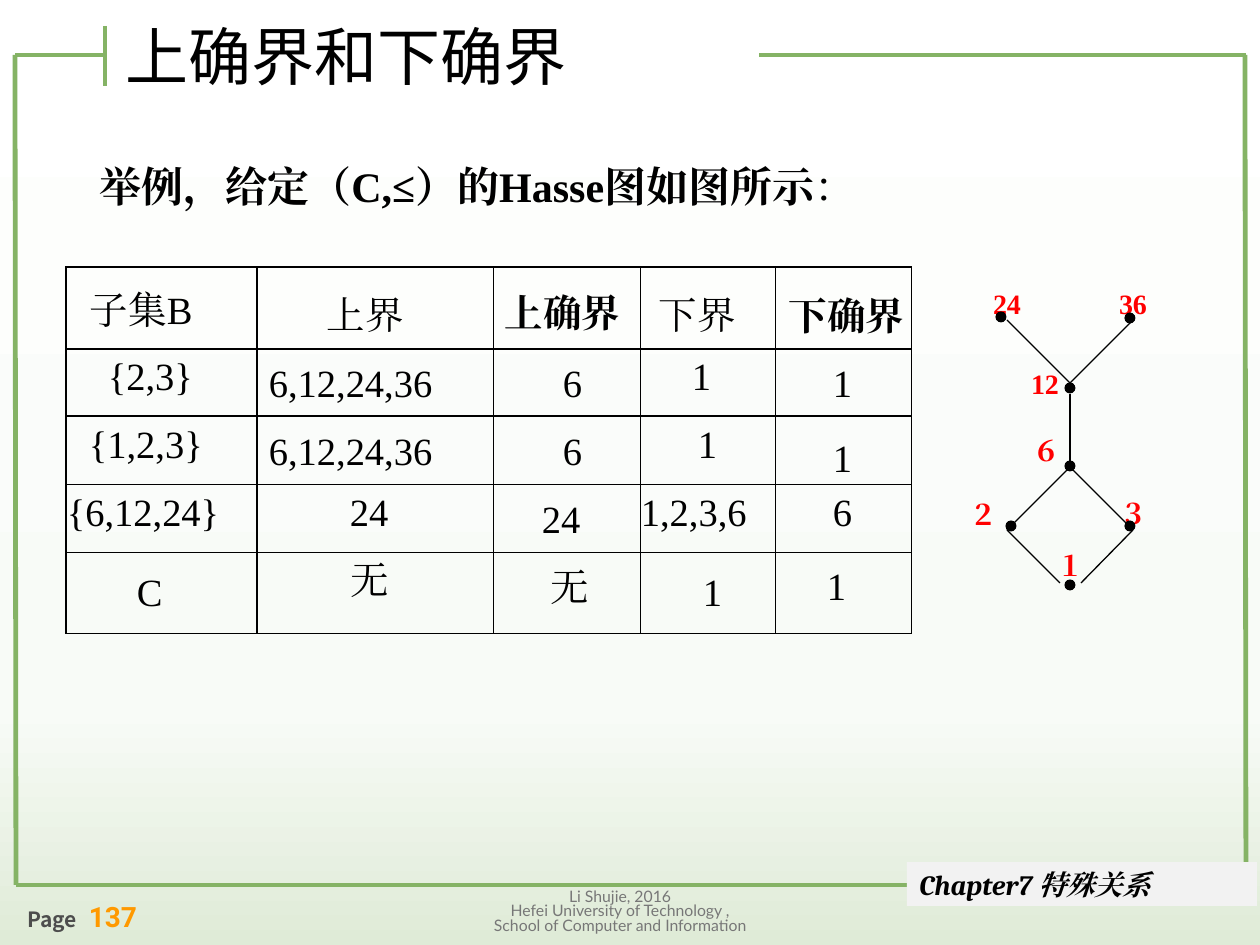
from copy import deepcopy

from lxml import etree
from pptx import Presentation
from pptx.dml.color import RGBColor
from pptx.enum.shapes import MSO_CONNECTOR, MSO_SHAPE
from pptx.enum.text import MSO_ANCHOR, PP_ALIGN
from pptx.oxml.ns import qn
from pptx.util import Emu, Pt

LINE = MSO_CONNECTOR.STRAIGHT
RECT, OVAL = MSO_SHAPE.RECTANGLE, MSO_SHAPE.OVAL
LEFT, MID = PP_ALIGN.LEFT, PP_ALIGN.CENTER
TOP, CENTER = MSO_ANCHOR.TOP, MSO_ANCHOR.MIDDLE
SCALE = 914400 / 126
GREEN, BLACK, RED = "85B365", "000000", "FF0000"
TIMES, NOTO = "Times New Roman", "Noto Sans CJK SC"

# Each cell: text, left inset, top inset
ROWS = [
    [("子集B", 24, 23), ("上界", 70, 28), ("上确界", 11, 26), ("下界", 18, 28), ("下确界", 13, 29)],
    [("{2,3}", 42, 7), ("6,12,24,36", 12, 14), ("6", 69, 14), ("1", 51, 7), ("1", 57, 14)],
    [("{1,2,3}", 23, 8), ("6,12,24,36", 12, 15), ("6", 69, 15), ("1", 57, 8), ("1", 57, 22)],
    [("{6,12,24}", 1, 8), ("24", 93, 8), ("24", 48, 15), ("1,2,3,6", 0, 8), ("6", 57, 8)],
    [("C", 71, 20), ("无", 94, 8), ("无", 57, 15), ("1", 62, 20), ("1", 51, 14)],
]
WIDTHS = [191, 237, 147, 135, 136]
HEIGHTS = [82, 67, 68, 68, 81]

# Each node: label, dot centre, label centre
NODES = [
    ("24", 57, 39, 63, 25), ("36", 186, 40, 189, 25), ("12", 126, 110, 101, 105),
    ("６", 126, 188, 102, 172), ("２", 67, 248, 39, 236), ("３", 186, 248, 189, 235),
    ("１", 126, 307, 126, 287),
]
EDGES = [
    (63, 42, 126, 105), (189, 42, 126, 105), (126, 116, 126, 189),
    (126, 189, 63, 252), (126, 189, 189, 252), (116, 305, 63, 252),
    (137, 305, 189, 252),
]
FRAME = [
    (15, 55, 16, 885), (1245, 55, 1246, 885), (1246, 885, 16, 885),
    (1246, 55, 759, 55), (105, 55, 15, 55), (105, 26, 105, 86),
]


def px(*nums):
    out = [Emu(round(n * SCALE)) for n in nums]
    return out if len(out) > 1 else out[0]


def color(code):
    return RGBColor.from_string(code)


def style(par, size, name, code=BLACK, bold=False, align=LEFT):
    par.alignment = align
    font = par.font
    font.size, font.name, font.bold = Pt(size), name, bold
    font.color.rgb = color(code)
    # East Asian letters share the font and its line height
    base = par._p.pPr.find(qn("a:defRPr"))
    etree.SubElement(base, qn("a:ea")).set("typeface", name)


def add_text(slide, box, text, size, name, code=BLACK, bold=False,
             align=LEFT, anchor=TOP):
    frame = slide.shapes.add_textbox(*px(*box)).text_frame
    frame.word_wrap = True
    frame.vertical_anchor = anchor
    frame.text = text
    for par in frame.paragraphs:
        style(par, size, name, code, bold, align)
    return frame


def add_line(slide, ends, code, width):
    line = slide.shapes.add_connector(LINE, *px(*ends))
    line.line.color.rgb = color(code)
    line.line.width = Pt(width)
    etree.SubElement(line._element.spPr, qn("a:effectLst"))


def add_shape(slide, kind, box, code):
    shape = slide.shapes.add_shape(kind, *px(*box))
    shape.shadow.inherit = False
    shape.fill.solid()
    shape.fill.fore_color.rgb = color(code)
    shape.line.fill.background()
    return shape


def draw_back(slide):
    fill = slide.background.fill
    fill.gradient()
    fill.gradient_angle = 270
    stops = slide._element.find(".//" + qn("a:gsLst"))
    stops.append(deepcopy(stops[-1]))
    shades = [(0, "FFFFFF"), (0.75, "F8FBF7"), (1, "DFEBD7")]
    for stop, (place, code) in zip(fill.gradient_stops, shades):
        stop.position = place
        stop.color.rgb = color(code)
    for ends in FRAME:
        add_line(slide, ends, GREEN, 2.75)


def draw_foot(slide, x, y):
    # Author and school
    lines = ["Li Shujie, 2016", "Hefei University of Technology ,",
             "School of Computer and Information"]
    frame = add_text(slide, (x + 426, y + 23, 358, 55), "\n".join(lines),
                     9, "Lato", "777777", align=MID)
    for par in frame.paragraphs:
        par.line_spacing = 0.75
    # Chapter tag
    tag = add_shape(slide, RECT, (x + 892, y, 350, 44), "F2F2F2").text_frame
    tag.vertical_anchor = CENTER
    tag.text = "Chapter7 特殊关系"
    style(tag.paragraphs[0], 16, "Cambria", bold=True)
    tag.paragraphs[0].font.italic = True
    # Page number
    page = add_text(slide, (x, y + 31, 179, 47), "Page ", 12, NOTO, "4D4D4D", True)
    run = page.paragraphs[0].add_run()
    run.text = " 137"
    run.font.size, run.font.name = Pt(16), "Roboto"
    run.font.color.rgb = color("FF9900")


def draw_title(slide, box):
    title = slide.shapes.title
    title.left, title.top, title.width, title.height = px(*box)
    title.text_frame.text = "上确界和下确界"
    title.text_frame.vertical_anchor = CENTER
    style(title.text_frame.paragraphs[0], 36, NOTO)


def draw_lead(slide, box):
    frame = add_text(slide, box, "举例，给定（C,≤）的Hasse图如图所示", 24, TIMES, bold=True)
    run = frame.paragraphs[0].add_run()
    run.text = "："
    run.font.bold = False


def add_edges(cell):
    props = cell._tc.get_or_add_tcPr()
    for side in ("lnL", "lnR", "lnT", "lnB"):
        line = etree.SubElement(props, qn("a:" + side), w=str(Pt(0.75)))
        fill = etree.SubElement(line, qn("a:solidFill"))
        etree.SubElement(fill, qn("a:srgbClr"), val=BLACK)


def draw_table(slide, x, y):
    box = px(x, y, sum(WIDTHS), sum(HEIGHTS))
    table = slide.shapes.add_table(len(ROWS), len(WIDTHS), *box).table
    table.first_row = table.horz_banding = False
    for col, width in zip(table.columns, WIDTHS):
        col.width = px(width)
    for r, (row, height) in enumerate(zip(ROWS, HEIGHTS)):
        table.rows[r].height = px(height)
        for c, (text, left, top) in enumerate(row):
            cell = table.cell(r, c)
            cell.margin_left, cell.margin_top = px(left, top)
            cell.margin_right = cell.margin_bottom = 0
            add_edges(cell)
            cell.fill.background()
            cell.text = text
            bold = r == 0 and c in (2, 4)
            style(cell.text_frame.paragraphs[0], 22, TIMES, bold=bold)


def draw_hasse(slide, x, y):
    for x1, y1, x2, y2 in EDGES:
        add_line(slide, (x + x1, y + y1, x + x2, y + y2), BLACK, 0.75)
    for text, dx, dy, lx, ly in NODES:
        add_text(slide, (x + lx - 63, y + ly - 23, 126, 46), text, 16, TIMES,
                 RED, True, MID, CENTER)
        add_shape(slide, OVAL, (x + dx - 5.5, y + dy - 5.5, 11, 11), BLACK)


def main():
    deck = Presentation()
    deck.slide_width, deck.slide_height = px(1260, 945)
    slide = deck.slides.add_slide(deck.slide_layouts[5])
    draw_back(slide)
    draw_foot(slide, 15, 862)
    draw_title(slide, (113, 26, 625, 58))
    draw_table(slide, 66, 267)
    draw_hasse(slide, 944, 278)
    draw_lead(slide, (87, 154, 804, 63))
    deck.save("out.pptx")


if __name__ == "__main__":
    main()
